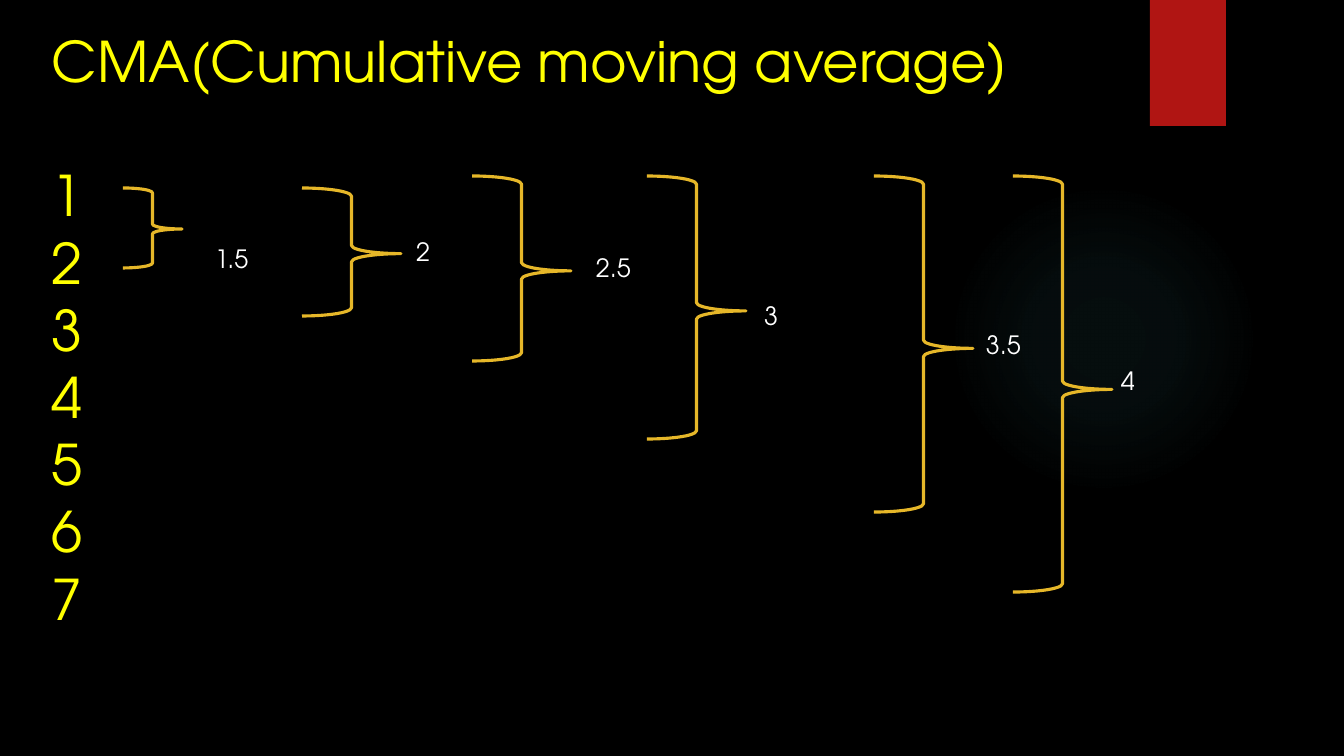
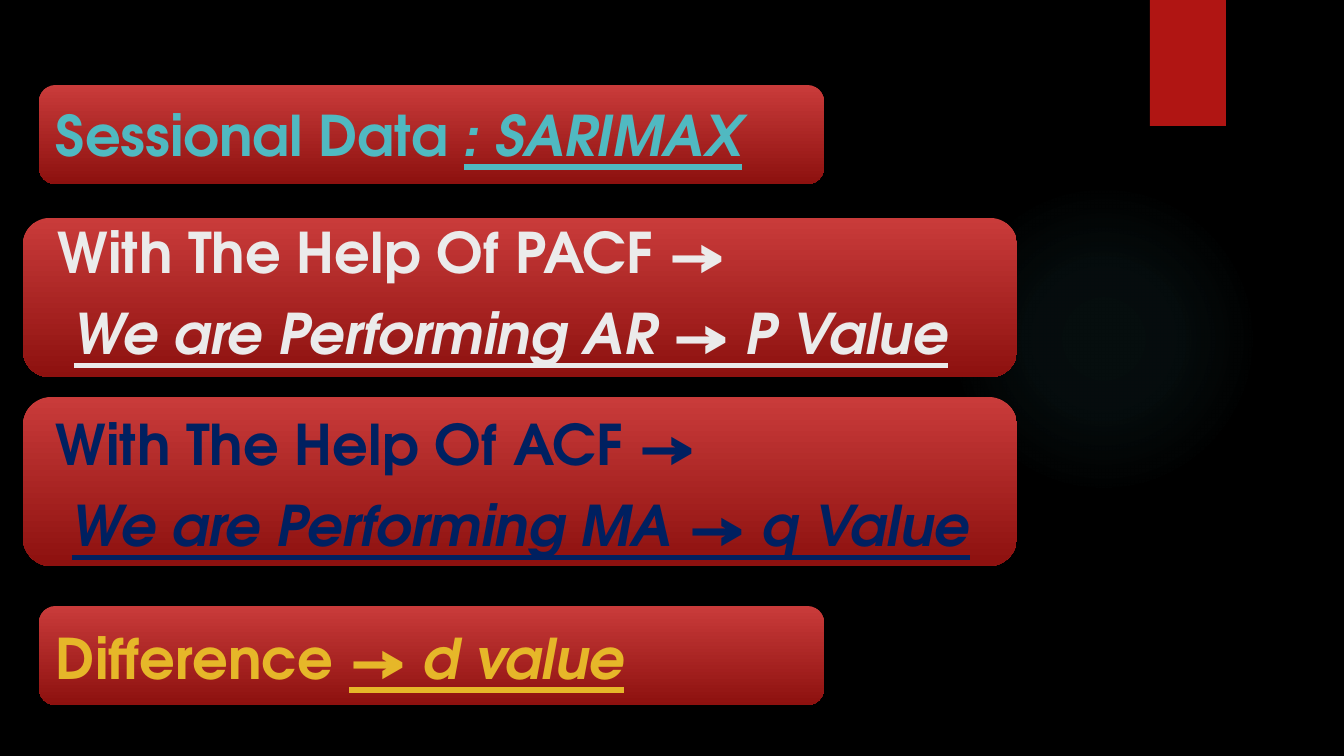
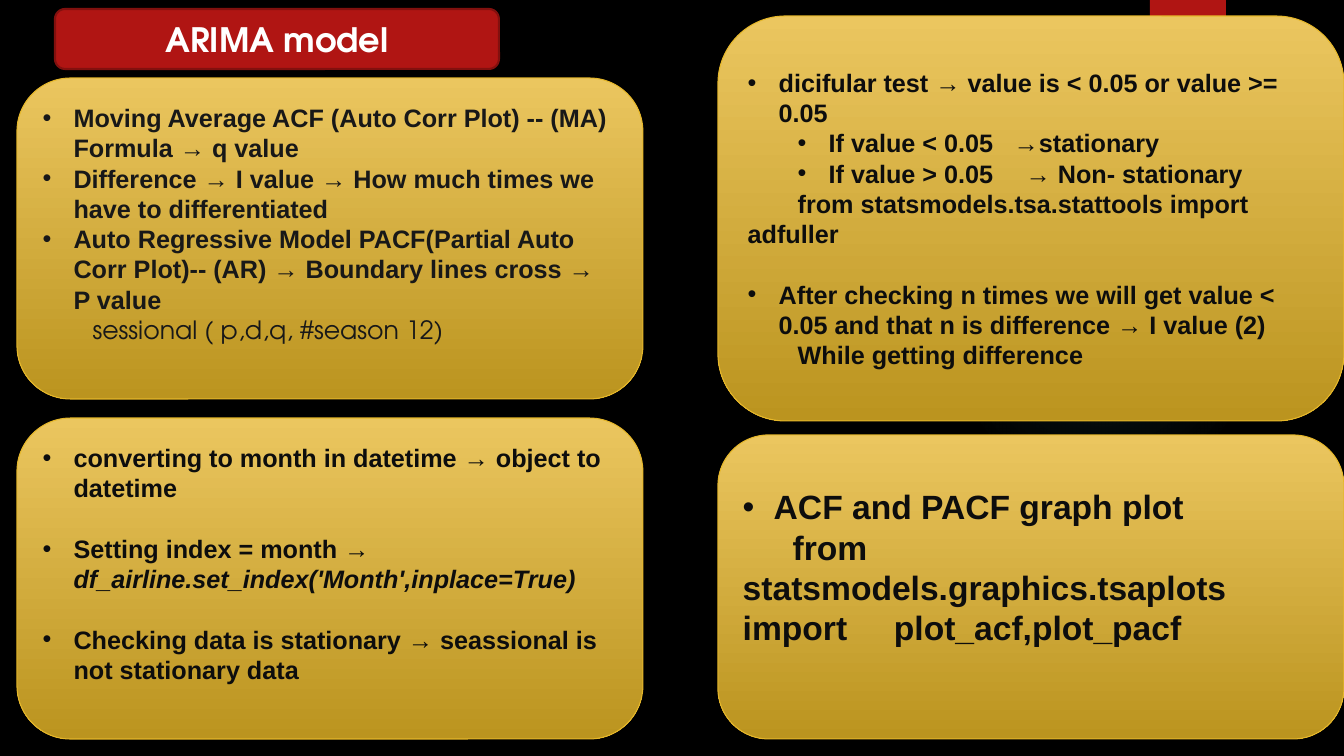
import dataclasses

import pptx
import pptx.dml.color
import pptx.enum.shapes
import pptx.enum.text
import pptx.oxml
import pptx.oxml.ns
import pptx.util

RGB = pptx.dml.color.RGBColor
SHAPE = pptx.enum.shapes.MSO_SHAPE
ALIGN = pptx.enum.text.PP_ALIGN
ANCHOR = pptx.enum.text.MSO_ANCHOR

BLACK = RGB(0x00, 0x00, 0x00)
WHITE = RGB(0xFF, 0xFF, 0xFF)
YELLOW = RGB(0xFF, 0xFF, 0x00)
RED = RGB(0xB0, 0x15, 0x13)
RED_EDGE = RGB(0x82, 0x10, 0x0E)
PANEL_TOP = RGB(0xC9, 0x3B, 0x3A)
PANEL_BOTTOM = RGB(0x8D, 0x11, 0x0F)
CARD_TOP = RGB(0xEB, 0xC6, 0x5F)
CARD_BOTTOM = RGB(0xBB, 0x94, 0x1F)
GOLD = RGB(0xE6, 0xB7, 0x29)
TEAL = RGB(0x50, 0xB9, 0xC1)
PALE = RGB(0xEB, 0xEB, 0xEB)
NAVY = RGB(0x00, 0x20, 0x60)
INK = RGB(0x0D, 0x0D, 0x0D)
SOFT_INK = RGB(0x18, 0x18, 0x18)

DISPLAY = "TeX Gyre Adventor"
BODY = "Arial"
SCALE = 914400 / 100.8
TITLE_ONLY = 5
BRACE_TIP = 0.513
LINE_FACTOR = 1.2
STEP = 50
HANG = 31
EMPHASIS = {"italic": True, "underline": True}


@dataclasses.dataclass
class Para:
    runs: list
    bullet: bool = False
    level: int = 0
    first: int = 0
    gap: float = 0
    tab: int = 0


def px(length):
    return pptx.util.Emu(round(length * SCALE))


def place(part, box):
    part.left, part.top, part.width, part.height = map(px, box)


def set_indents(paragraph, para):
    properties = paragraph._p.get_or_add_pPr()
    paragraph.level = para.level
    margin = HANG + STEP * para.level if para.bullet else 0
    first = -HANG if para.bullet else para.first
    properties.set("marL", str(px(margin)))
    properties.set("indent", str(px(first)))
    namespace = pptx.oxml.ns.nsdecls("a")
    if para.bullet:
        for xml in (f'<a:buFont {namespace} typeface="Arial"/>', f'<a:buChar {namespace} char="•"/>'):
            properties.append(pptx.oxml.parse_xml(xml))
    if para.tab:
        properties.append(pptx.oxml.parse_xml(
            f'<a:tabLst {namespace}><a:tab pos="{px(para.tab)}" algn="l"/></a:tabLst>'))


def write_text(frame, paras, font=DISPLAY, size=40, color=WHITE, bold=False, align=ALIGN.LEFT,
               anchor=ANCHOR.TOP, wrap=True, bottom=5, line=None):
    frame.auto_size = pptx.enum.text.MSO_AUTO_SIZE.NONE
    frame.word_wrap = wrap
    frame.vertical_anchor = anchor
    frame.margin_left = frame.margin_right = px(10)
    frame.margin_top, frame.margin_bottom = px(5), px(bottom)
    for index, para in enumerate(paras):
        paragraph = frame.add_paragraph() if index else frame.paragraphs[0]
        paragraph.alignment = align
        paragraph.space_before = pptx.util.Pt(para.gap)
        if line:
            paragraph.line_spacing = pptx.util.Pt(line)
        set_indents(paragraph, para)
        for text, changes in para.runs:
            run = paragraph.add_run()
            run.text = text
            run.font.name = font
            run.font.size = pptx.util.Pt(size)
            run.font.bold = bold
            run.font.color.rgb = color
            for attribute, value in changes.items():
                setattr(run.font, attribute, value)


def plain(text, **layout):
    return Para([(text, {})], **layout)


def add_text(slide, box, paras, **style):
    write_text(slide.shapes.add_textbox(*map(px, box)).text_frame, paras, **style)


def add_title(slide, box, paras, **style):
    title = slide.shapes.title
    place(title, box)
    write_text(title.text_frame, paras, **style)
    title.element.getparent().append(title.element)


def add_shape(slide, kind, box, fill=None, edge=None, edge_width=1):
    shape = slide.shapes.add_shape(kind, *map(px, box))
    shape.shadow.inherit = False
    if fill is None:
        shape.fill.background()
    elif isinstance(fill, RGB):
        shape.fill.solid()
        shape.fill.fore_color.rgb = fill
    else:
        shape.fill.gradient()
        shape.fill.gradient_angle = 270
        for stop, color in zip(shape.fill.gradient_stops, fill):
            stop.color.rgb = color
    if edge is None:
        shape.line.fill.background()
    else:
        shape.line.color.rgb = edge
        shape.line.width = pptx.util.Pt(edge_width)
    return shape


def add_glow(slide, box):
    glow = add_shape(slide, SHAPE.OVAL, box, (TEAL, TEAL))
    stops = "".join(
        f'<a:gs pos="{position}000"><a:srgbClr val="{TEAL}"><a:alpha val="{alpha}000"/></a:srgbClr></a:gs>'
        for position, alpha in ((0, 7), (36, 6), (69, 0)))
    radial = pptx.oxml.parse_xml(
        f'<a:gradFill {pptx.oxml.ns.nsdecls("a")} rotWithShape="1"><a:gsLst>{stops}</a:gsLst>'
        '<a:path path="circle"><a:fillToRect l="50000" t="50000" r="50000" b="50000"/></a:path></a:gradFill>')
    properties = glow.element.spPr
    properties.replace(properties.find(pptx.oxml.ns.qn("a:gradFill")), radial)


def new_slide(deck):
    slide = deck.slides.add_slide(deck.slide_layouts[TITLE_ONLY])
    add_glow(slide, (949, 184, 310, 310))
    add_shape(slide, SHAPE.RECTANGLE, (1150, 0, 76, 126), RED)
    return slide


def add_average(slide, box, value, label_shift):
    left, top, width, height = box
    brace = add_shape(slide, SHAPE.RIGHT_BRACE, box, edge=GOLD, edge_width=2.25)
    brace.adjustments[1] = BRACE_TIP
    label_left = left + width + label_shift[0]
    label_top = top + height * BRACE_TIP + label_shift[1]
    label_width = 55 if "." in value else 34
    add_text(slide, (label_left, label_top, label_width, 40), [plain(value)], size=18, wrap=False)


def cumulative_slide(deck):
    slide = new_slide(deck)
    add_title(slide, (42, 22, 1248, 77), [plain("CMA(Cumulative moving average)")], color=YELLOW)
    add_text(slide, (42, 156, 76, 480), [plain(str(number)) for number in range(1, 8)], color=YELLOW)
    averages = (
        ((123, 188, 59, 80), "1.5", (23, 9)),
        ((302, 188, 99, 128), "2", (5, -22)),
        ((472, 176, 99, 185), "2.5", (15, -24)),
        ((647, 176, 99, 263), "3", (8, -16)),
        ((874, 176, 99, 336), "3.5", (3, -24)),
        ((1013, 176, 99, 416), "4", (-1, -29)),
    )
    for box, value, label_shift in averages:
        add_average(slide, box, value, label_shift)


def add_panel(slide, box, text_box, paras, color, writer=add_text):
    add_shape(slide, SHAPE.ROUNDED_RECTANGLE, box, (PANEL_TOP, PANEL_BOTTOM))
    writer(slide, text_box, paras, color=color, bold=True, anchor=ANCHOR.MIDDLE)


def parameter_paras(heading, finding):
    return [plain(heading), Para([(finding, EMPHASIS)], first=16, gap=10)]


def sarimax_slide(deck):
    slide = new_slide(deck)
    add_panel(slide, (39, 85, 785, 99), (46, 37, 738, 194),
              [Para([("Sessional Data ", {}), (": SARIMAX", EMPHASIS)])], TEAL, add_title)
    add_panel(slide, (23, 218, 994, 159), (48, 195, 1287, 194),
              parameter_paras("With The Help Of PACF →", "We are Performing AR → P Value"), PALE)
    add_panel(slide, (23, 397, 994, 169), (46, 387, 1231, 194),
              parameter_paras("With The Help Of ACF →", "We are Performing MA → q Value"), NAVY)
    add_panel(slide, (39, 606, 785, 99), (46, 560, 1231, 194),
              [Para([("Difference ", {}), ("→ d value", EMPHASIS)])], GOLD)


def add_card(slide, box, paras, size=18, color=INK, lift=0):
    card = add_shape(slide, SHAPE.ROUNDED_RECTANGLE, box, (CARD_TOP, CARD_BOTTOM), GOLD, 0.75)
    write_text(card.text_frame, paras, font=BODY, size=size, color=color, bold=True,
               anchor=ANCHOR.MIDDLE, bottom=5 + lift, line=size * LINE_FACTOR)


def arima_slide(deck):
    slide = new_slide(deck)
    blank_line = 18 * LINE_FACTOR
    add_card(slide, (17, 78, 626, 321), [
        plain("Moving Average ACF (Auto Corr Plot) -- (MA) Formula → q value", bullet=True),
        plain("Difference → I value → How much times we have to differentiated", bullet=True),
        plain("Auto Regressive Model PACF(Partial Auto Corr Plot)-- (AR) → Boundary lines cross → P value",
              bullet=True),
        Para([("sessional ( p,d,q, #season 12)", {"name": DISPLAY, "bold": False})], first=STEP),
    ], color=SOFT_INK, lift=30)
    add_card(slide, (17, 418, 626, 321), [
        plain("converting to month in datetime → object to datetime", bullet=True),
        Para([("Setting index = month → ", {}),
              ("df_airline.set_index('Month',inplace=True)", {"italic": True})],
             bullet=True, gap=blank_line),
        plain("Checking data is stationary → seassional is not stationary data",
              bullet=True, gap=blank_line),
    ], lift=30)
    add_card(slide, (718, 16, 626, 405), [
        plain("dicifular test → value is < 0.05 or value >= 0.05", bullet=True),
        plain("If value < 0.05\t→stationary", bullet=True, level=1, tab=266),
        plain("If value > 0.05\t→ Non- stationary", bullet=True, level=1, tab=278),
        plain("from statsmodels.tsa.stattools import adfuller", first=STEP),
        plain("After checking n times we will get value < 0.05 and that n is difference → I value (2)",
              bullet=True, gap=blank_line),
        plain("While getting difference", first=STEP),
    ])
    add_card(slide, (718, 435, 626, 304), [
        plain("ACF and PACF graph plot", bullet=True),
        plain("from statsmodels.graphics.tsaplots import\tplot_acf,plot_pacf", first=STEP, tab=152),
    ], size=24, lift=40)
    banner = (55, 9, 444, 60)
    add_shape(slide, SHAPE.ROUNDED_RECTANGLE, banner, RED, RED_EDGE, 1.5)
    add_title(slide, banner, [plain("ARIMA model")], size=24, bold=True,
              align=ALIGN.CENTER, anchor=ANCHOR.MIDDLE)


def main():
    deck = pptx.Presentation()
    deck.slide_width, deck.slide_height = px(1344), px(756)
    backdrop = deck.slide_master.background.fill
    backdrop.solid()
    backdrop.fore_color.rgb = BLACK
    cumulative_slide(deck)
    sarimax_slide(deck)
    arima_slide(deck)
    deck.save("out.pptx")


if __name__ == "__main__":
    main()
